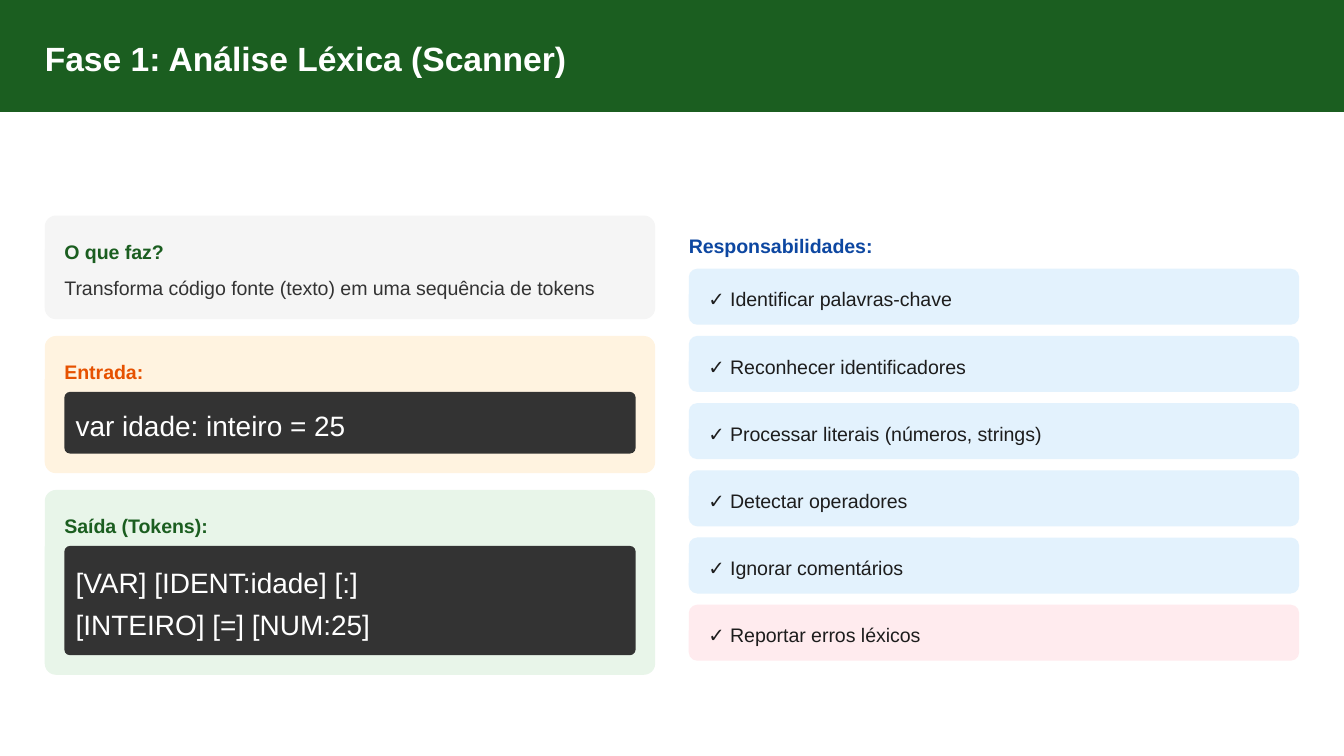
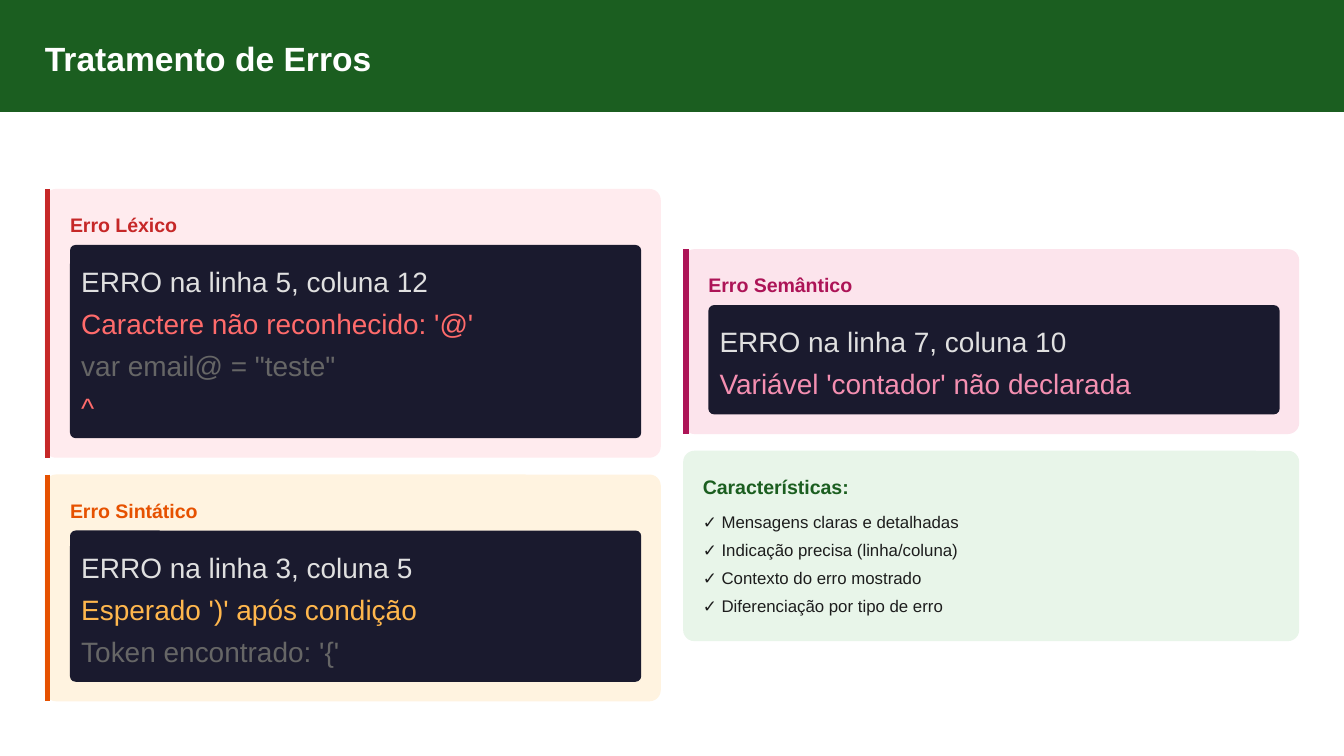
from lxml import etree
from pptx import Presentation
from pptx import util as u
from pptx.dml.color import RGBColor
from pptx.enum import shapes, text
from pptx.oxml.ns import qn

# Grid: 240 columns by 135 rows of square cells
COLUMNS, ROWS = 240, 135
CELL = u.Inches(10) // COLUMNS
MARGIN, BAND = 8, 20
PAD, BODY, CARD_GAP = 3.5, 10, 3  # card padding, offset of its body, gap below
SLACK = 1.02                      # text boxes are slightly wider than their column

FONT = "Arial"
GREEN, ORANGE, BLUE = "1B5E20", "E65100", "0D47A1"
RED, PINK = "C62828", "AD1457"
PALE_GREY, PALE_ORANGE, PALE_GREEN = "F5F5F5", "FFF3E0", "E8F5E9"
PALE_BLUE, PALE_RED, PALE_PINK = "E3F2FD", "FFEBEE", "FCE4EC"
WHITE, INK, CHARCOAL, NIGHT = "FFFFFF", "1D1D1D", "333333", "1A1A2E"
SILVER, DIM, CORAL = "E0E0E0", "666666", "FF6B6B"
AMBER, ROSE = "FFB74D", "F48FB1"

# Text styles: size, line height and paragraph spacing in points, box rows
TITLE = dict(size=18, bold=True, line_spacing=24, rows=8)
HEADING = dict(size=10.5, bold=True, line_spacing=15, space_after=4.5, rows=5)
PLAIN = dict(size=10.5, line_spacing=15, rows=5)
SMALL = dict(size=9, line_spacing=12, space_before=3, space_after=3, rows=4)
CODE = dict(size=15, line_spacing=21, rows=7)
CODE_LINES = dict(CODE, space_before=1.5, space_after=1.5)


def rgb(value):
    return RGBColor.from_string(value)


def cells(*lengths):
    return [round(length * CELL) for length in lengths]


def columns(gap):
    """Left edges and common width of two equal columns."""
    width = (COLUMNS - 2 * MARGIN - gap) / 2
    return MARGIN, MARGIN + width + gap, width


def format_text(holder, words, style, colour):
    frame = holder.text_frame
    frame.text = words
    frame_format = dict(
        margin_left=0, margin_top=0, margin_right=0, margin_bottom=0,
        word_wrap=True, auto_size=text.MSO_AUTO_SIZE.NONE,
        vertical_anchor=text.MSO_ANCHOR.TOP)
    for name, value in frame_format.items():
        setattr(frame, name, value)
    paragraph = frame.paragraphs[0]
    paragraph.alignment = text.PP_ALIGN.LEFT
    for name in ("line_spacing", "space_before", "space_after"):
        setattr(paragraph, name, u.Pt(style.get(name, 0)))
    font = paragraph.runs[0].font
    font_format = dict(name=FONT, size=u.Pt(style["size"]),
                       bold=style.get("bold", False))
    for name, value in font_format.items():
        setattr(font, name, value)
    font.color.rgb = rgb(colour)


def write(slide, left, top, width, words, style, colour):
    box = slide.shapes.add_textbox(
        *cells(left, top, width * SLACK, style["rows"]))
    format_text(box, words, style, colour)


def panel(slide, left, top, width, height, fill, radius=0):
    kind = shapes.MSO_SHAPE.ROUNDED_RECTANGLE if radius else shapes.MSO_SHAPE.RECTANGLE
    area = slide.shapes.add_shape(kind, *cells(left, top, width, height))
    if radius:
        area.adjustments[0] = radius / min(width, height)
    area.shadow.inherit = False
    area.fill.solid()
    area.fill.fore_color.rgb = rgb(fill)
    area.line.fill.background()
    return area


def accent_bar(slide, left, top, height, colour):
    bar = slide.shapes.add_connector(
        shapes.MSO_CONNECTOR.STRAIGHT,
        *cells(left + 0.5, top, left + 0.5, top + height))
    bar.line.color.rgb = rgb(colour)
    bar.line.width = u.Pt(3)
    etree.SubElement(bar._element.spPr, qn("a:effectLst"))


def card(slide, left, top, width, body_rows, fill, heading, colour, accent=False):
    """Tinted card; returns its body box and the top of the next card."""
    height = BODY + body_rows + PAD
    panel(slide, left, top, width, height, fill, radius=2)
    indent = PAD
    if accent:
        accent_bar(slide, left, top, height, colour)
        indent += 1
    inner = width - indent - PAD
    write(slide, left + indent, top + PAD, inner, heading, HEADING, colour)
    return (left + indent, top + BODY, inner), top + height + CARD_GAP


def code_card(slide, left, top, width, fill, heading, colour, screen, lines,
              accent=False):
    """Card whose body is a dark screen with (words, colour) lines."""
    single = len(lines) == 1
    inset, style = (2, CODE) if single else (2.5, CODE_LINES)
    height = 11 if single else 4.5 + 7.5 * len(lines)
    (x, y, inner), below = card(slide, left, top, width, height, fill,
                                heading, colour, accent)
    panel(slide, x, y, inner, height, screen, radius=1)
    for row, (words, tint) in enumerate(lines):
        write(slide, x + 2, y + inset + 7.5 * row, inner - 4, words, style, tint)
    return below


def checklist(slide, left, top, width, heading, duties):
    write(slide, left, top, width, heading, PLAIN | {"bold": True}, BLUE)
    for row, (duty, fill) in enumerate(duties):
        y = top + 7 + 12 * row
        panel(slide, left, y, width, 10, fill, radius=1.5)
        write(slide, left + PAD, y + 2.5, width - 2 * PAD - 0.0, "✓ " + duty, PLAIN, INK)


def titled_slide(deck, title):
    slide = deck.slides.add_slide(deck.slide_layouts[5])
    band = panel(slide, 0, 0, COLUMNS, BAND, GREEN)
    slide.shapes._spTree.insert(2, band._element)  # behind the title
    heading = slide.shapes.title
    place = cells(MARGIN, 6, 114.5, TITLE["rows"])
    for name, value in zip(("left", "top", "width", "height"), place):
        setattr(heading, name, value)
    format_text(heading, title, TITLE, WHITE)
    return slide


def scanner_slide(deck):
    slide = titled_slide(deck, "Fase 1: Análise Léxica (Scanner)")
    left, right, width = columns(gap=6)

    # Purpose, input and output
    (x, y, inner), top = card(slide, left, 38.5, width, PLAIN["rows"],
                              PALE_GREY, "O que faz?", GREEN)
    write(slide, x, y, inner,
          "Transforma código fonte (texto) em uma sequência de tokens",
          PLAIN, CHARCOAL)
    top = code_card(slide, left, top, width, PALE_ORANGE, "Entrada:", ORANGE,
                    CHARCOAL, [("var idade: inteiro = 25", WHITE)])
    code_card(slide, left, top, width, PALE_GREEN, "Saída (Tokens):", GREEN,
              CHARCOAL, [("[VAR] [IDENT:idade] [:]", WHITE),
                         ("[INTEIRO] [=] [NUM:25]", WHITE)])

    # Responsibilities
    checklist(slide, right, 41, width, "Responsabilidades:", [
        ("Identificar palavras-chave", PALE_BLUE),
        ("Reconhecer identificadores", PALE_BLUE),
        ("Processar literais (números, strings)", PALE_BLUE),
        ("Detectar operadores", PALE_BLUE),
        ("Ignorar comentários", PALE_BLUE),
        ("Reportar erros léxicos", PALE_RED)])


def errors_slide(deck):
    slide = titled_slide(deck, "Tratamento de Erros")
    left, right, width = columns(gap=4)

    # Lexical and syntax errors
    top = code_card(slide, left, 33.75, width, PALE_RED, "Erro Léxico", RED, NIGHT, [
        ("ERRO na linha 5, coluna 12", SILVER),
        ("Caractere não reconhecido: '@'", CORAL),
        ('var email@ = "teste"', DIM),
        ("^", CORAL)], accent=True)
    code_card(slide, left, top, width, PALE_ORANGE, "Erro Sintático", ORANGE, NIGHT, [
        ("ERRO na linha 3, coluna 5", SILVER),
        ("Esperado ')' após condição", AMBER),
        ("Token encontrado: '{'", DIM)], accent=True)

    # Semantic error
    top = code_card(slide, right, 44.5, width, PALE_PINK, "Erro Semântico", PINK, NIGHT, [
        ("ERRO na linha 7, coluna 10", SILVER),
        ("Variável 'contador' não declarada", ROSE)], accent=True)

    # Features of the messages
    features = ["Mensagens claras e detalhadas", "Indicação precisa (linha/coluna)",
                "Contexto do erro mostrado", "Diferenciação por tipo de erro"]
    (x, y, inner), _ = card(slide, right, top, width, 5 * len(features) + 0.5,
                            PALE_GREEN, "Características:", GREEN)
    for row, feature in enumerate(features):
        write(slide, x, y + 0.5 + 5 * row, inner, "✓ " + feature, SMALL, INK)


def main():
    deck = Presentation()
    deck.slide_width, deck.slide_height = cells(COLUMNS, ROWS)
    scanner_slide(deck)
    errors_slide(deck)
    deck.save("out.pptx")


if __name__ == "__main__":
    main()
